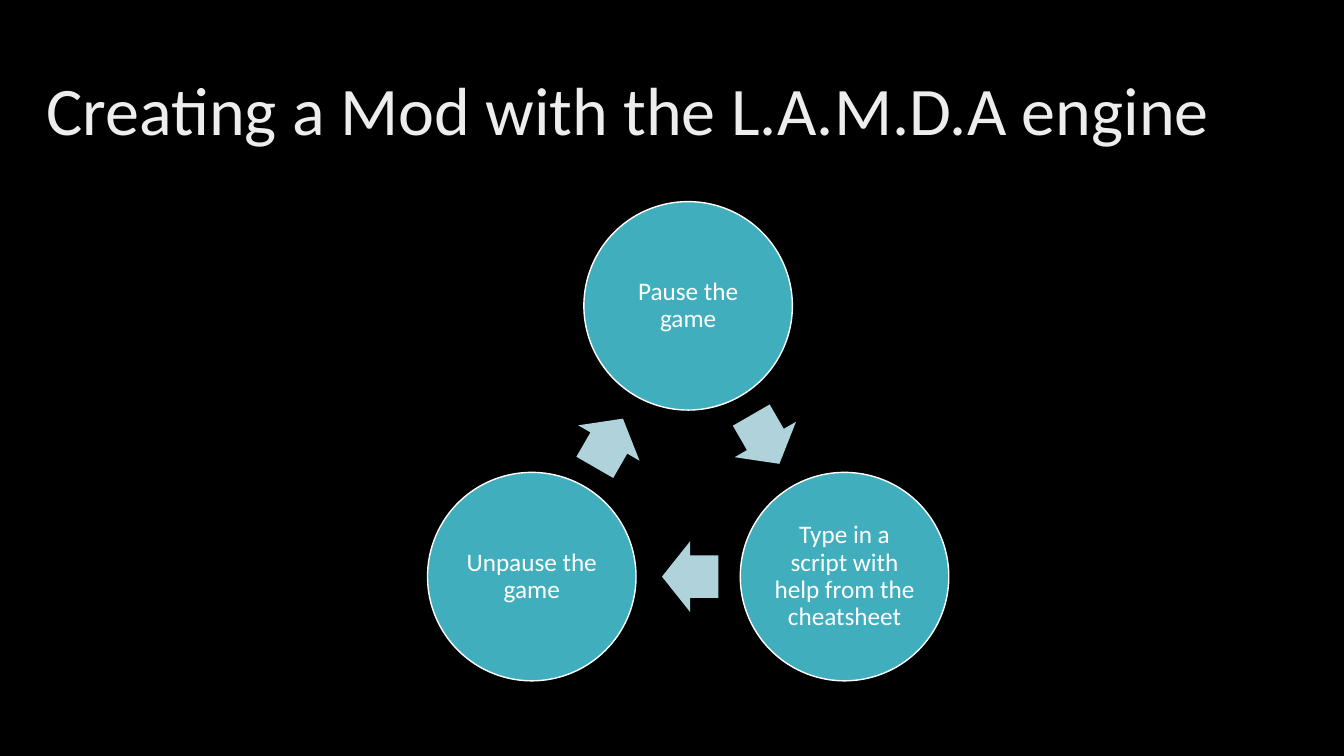
"""Build a slide showing the three-step cycle of making a mod."""
import math

from pptx import Presentation
from pptx.dml.color import RGBColor
from pptx.enum.shapes import MSO_SHAPE
from pptx.enum.text import MSO_ANCHOR, MSO_AUTO_SIZE, PP_ALIGN
from pptx.util import Inches, Pt

ELLIPSE, ARROW = MSO_SHAPE.OVAL, MSO_SHAPE.RIGHT_ARROW
LEFT, CENTER = PP_ALIGN.LEFT, PP_ALIGN.CENTER
MIDDLE, NO_AUTOFIT = MSO_ANCHOR.MIDDLE, MSO_AUTO_SIZE.NONE

WIDTH, HEIGHT = 13.33, 7.5
FONT = "Calibri"
COLORS = {"background": "000000", "title": "EDEDED", "text": "FFFFFF",
          "circle": "41AEBD", "arrow": "B0D3DB"}
STEPS = ["Pause the game", "Type in a script with help from the cheatsheet",
         "Unpause the game"]
TITLE_BOX = (0.36, 0.4, 12.62, 1.45)
CYCLE_BOX = (4.24, 2, 5.17, 4.76)
CIRCLE_SHARE = 0.4
ARROW_SHARES = (0.27, 0.34)
ARROW_SETBACK = 0.02


def color(name):
    """Return the named colour."""
    return RGBColor.from_string(COLORS[name])


def set_attributes(target, values):
    """Set each attribute in a dict of format values."""
    for name, value in values.items():
        setattr(target, name, value)


def write_text(shape, text, size, color_name, alignment, inset):
    """Write one formatted paragraph into a shape."""
    frame = shape.text_frame
    frame.text = text
    paragraph = frame.paragraphs[0]
    margins = dict.fromkeys(
        ("margin_left", "margin_top", "margin_right", "margin_bottom"), Inches(inset))
    set_attributes(frame, {"word_wrap": True, "auto_size": NO_AUTOFIT,
                           "vertical_anchor": MIDDLE, **margins})
    set_attributes(paragraph, {"alignment": alignment, "line_spacing": 0.9})
    set_attributes(paragraph.runs[0].font, {"name": FONT, "size": Pt(size)})
    paragraph.runs[0].font.color.rgb = color(color_name)


def add_centered(slide, kind, center, size, color_name):
    """Add a filled, unshadowed shape around a centre point."""
    corner = [middle - length / 2 for middle, length in zip(center, size)]
    shape = slide.shapes.add_shape(kind, *map(Inches, (*corner, *size)))
    shape.shadow.inherit = False
    shape.fill.solid()
    shape.fill.fore_color.rgb = color(color_name)
    return shape


def add_title(slide, box):
    """Place and format the title placeholder."""
    title = slide.shapes.title
    set_attributes(title, dict(zip(("left", "top", "width", "height"), map(Inches, box))))
    write_text(title, "Creating a Mod with the L.A.M.D.A engine", 48.6, "title", LEFT, 0.1)


def add_cycle(slide, box, steps):
    """Place steps clockwise on a ring, with an arrow after each one."""
    left, top, width, _ = box
    diameter = CIRCLE_SHARE * width
    turn = 360 / len(steps)
    radius = (width - diameter) / 2 / math.sin(math.radians(turn))
    middle = (left + width / 2, top + diameter / 2 + radius)

    def ring_point(angle, distance):
        """Return the point at a clockwise angle from the top."""
        radians = math.radians(angle)
        return (middle[0] + distance * math.sin(radians),
                middle[1] - distance * math.cos(radians))

    for index, step in enumerate(steps):
        angle = index * turn
        circle = add_centered(slide, ELLIPSE, ring_point(angle, radius),
                              (diameter, diameter), "circle")
        circle.line.color.rgb = color("text")
        circle.line.width = Pt(1)
        write_text(circle, step, 18, "text", CENTER, 0.03)

        heading = angle + turn / 2
        radians = math.radians(heading)
        x, y = ring_point(heading, radius * math.cos(math.radians(turn / 2)))
        center = (x - ARROW_SETBACK * math.cos(radians),
                  y - ARROW_SETBACK * math.sin(radians))
        arrow = add_centered(slide, ARROW, center,
                             [share * diameter for share in ARROW_SHARES], "arrow")
        arrow.line.fill.background()
        arrow.rotation = heading
        arrow.adjustments[0] = 0.6
        arrow.adjustments[1] = 0.5


def main():
    """Build and save the presentation."""
    presentation = Presentation()
    presentation.slide_width, presentation.slide_height = Inches(WIDTH), Inches(HEIGHT)
    slide = presentation.slides.add_slide(presentation.slide_layouts[5])
    slide.background.fill.solid()
    slide.background.fill.fore_color.rgb = color("background")
    add_title(slide, TITLE_BOX)
    add_cycle(slide, CYCLE_BOX, STEPS)
    presentation.save("out.pptx")


main()
